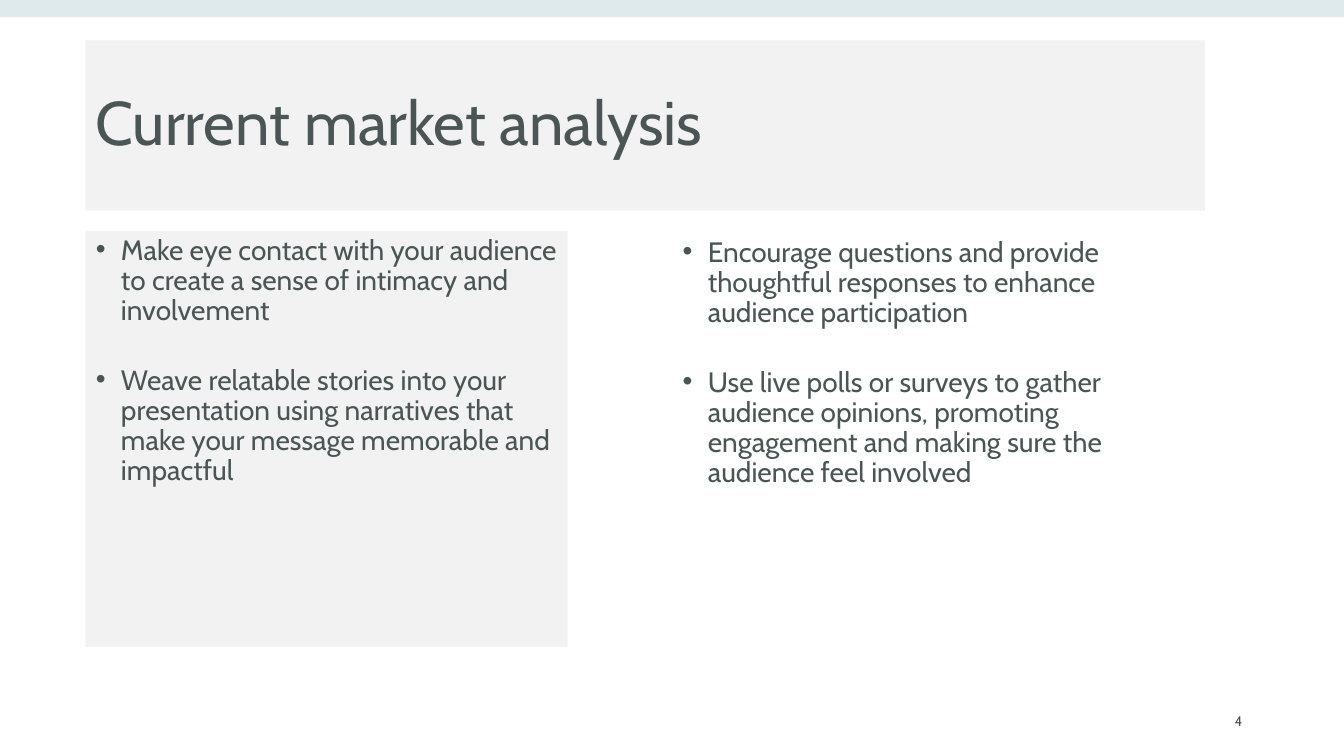
"""Build the market analysis slide with a shaded title and two bullet columns."""
from dataclasses import dataclass

from lxml import etree
from pptx import Presentation
from pptx.dml.color import RGBColor
from pptx.enum.shapes import MSO_SHAPE
from pptx.enum.text import MSO_ANCHOR, MSO_AUTO_SIZE, PP_ALIGN
from pptx.oxml.ns import qn
from pptx.util import Inches, Pt

RECTANGLE = MSO_SHAPE.RECTANGLE
MIDDLE, TOP = MSO_ANCHOR.MIDDLE, MSO_ANCHOR.TOP
LEFT, RIGHT = PP_ALIGN.LEFT, PP_ALIGN.RIGHT
NO_AUTOFIT = MSO_AUTO_SIZE.NONE


@dataclass(frozen=True)
class Theme:
    font: str = "Cabin"
    ink: RGBColor = RGBColor.from_string("4A5656")
    panel: RGBColor = RGBColor.from_string("F2F2F2")
    band: RGBColor = RGBColor.from_string("BED6DA")
    title_size: Pt = Pt(44)
    body_size: Pt = Pt(20)
    number_size: Pt = Pt(10)


THEME = Theme()
MARGIN = 0.85
COLUMN_WIDTH, COLUMN_HEIGHT = 4.78, 4.13
COLUMNS = [
    (MARGIN, 2.29, 0.05, [
        "Make eye contact with your audience to create a sense of intimacy and involvement",
        "Weave relatable stories into your presentation using narratives that make your message memorable and impactful",
    ]),
    (6.67, 2.31, 0.1, [
        "Encourage questions and provide thoughtful responses to enhance audience participation",
        "Use live polls or surveys to gather audience opinions, promoting engagement and making sure the audience feel involved",
    ]),
]


def place(box, left, top, width, height):
    box.left, box.top = Inches(left), Inches(top)
    box.width, box.height = Inches(width), Inches(height)


def style(paragraph, size, align):
    paragraph.alignment = align
    for run in paragraph.runs:
        run.font.name = THEME.font
        run.font.size = size
        run.font.color.rgb = THEME.ink


deck = Presentation()
deck.slide_width, deck.slide_height = Inches(13.33), Inches(7.5)
slide = deck.slides.add_slide(deck.slide_layouts[3])

band = slide.shapes.add_shape(RECTANGLE, 0, 0, deck.slide_width, Inches(0.17))
band.shadow.inherit = False
band.line.fill.background()
band.fill.solid()
band.fill.fore_color.rgb = THEME.band
band_color = band.fill._xPr.find(".//" + qn("a:srgbClr"))
etree.SubElement(band_color, qn("a:alpha"), val="50000")

title = slide.shapes.title
place(title, MARGIN, 0.4, 11.1, 1.69)
title.fill.solid()
title.fill.fore_color.rgb = THEME.panel
title.text_frame.text = "Current market analysis"
title.text_frame.auto_size = NO_AUTOFIT
title.text_frame.vertical_anchor = MIDDLE
heading = title.text_frame.paragraphs[0]
heading.line_spacing = 0.9
style(heading, THEME.title_size, LEFT)

for idx, (left, top, right_inset, points) in enumerate(COLUMNS, start=1):
    column = slide.placeholders[idx]
    place(column, left, top, COLUMN_WIDTH, COLUMN_HEIGHT)
    frame = column.text_frame
    frame.text = "\n".join(points)
    frame.auto_size = NO_AUTOFIT
    frame.vertical_anchor = TOP
    frame.margin_right = Inches(right_inset)
    for order, point in enumerate(frame.paragraphs):
        properties = point._p.get_or_add_pPr()
        properties.set("marL", str(Inches(0.25)))
        properties.set("indent", str(-Inches(0.25)))
        etree.SubElement(properties, qn("a:buFont"), typeface="Arial")
        etree.SubElement(properties, qn("a:buChar"), char="•")
        point.line_spacing = 0.9
        point.space_before = Pt(10 if order else 0)
        point.space_after = Pt(18)
        style(point, THEME.body_size, LEFT)

slide.placeholders[1].fill.solid()
slide.placeholders[1].fill.fore_color.rgb = THEME.panel

page_number = slide.shapes.add_textbox(Inches(9.42), Inches(6.95), Inches(3), Inches(0.4))
page_number.text_frame.word_wrap = True
page_number.text_frame.vertical_anchor = MIDDLE
page_number.text_frame.text = "4"
number = page_number.text_frame.paragraphs[0]
style(number, THEME.number_size, RIGHT)
number.runs[0]._r.get_or_add_rPr().set("spc", "150")

deck.save("out.pptx")
